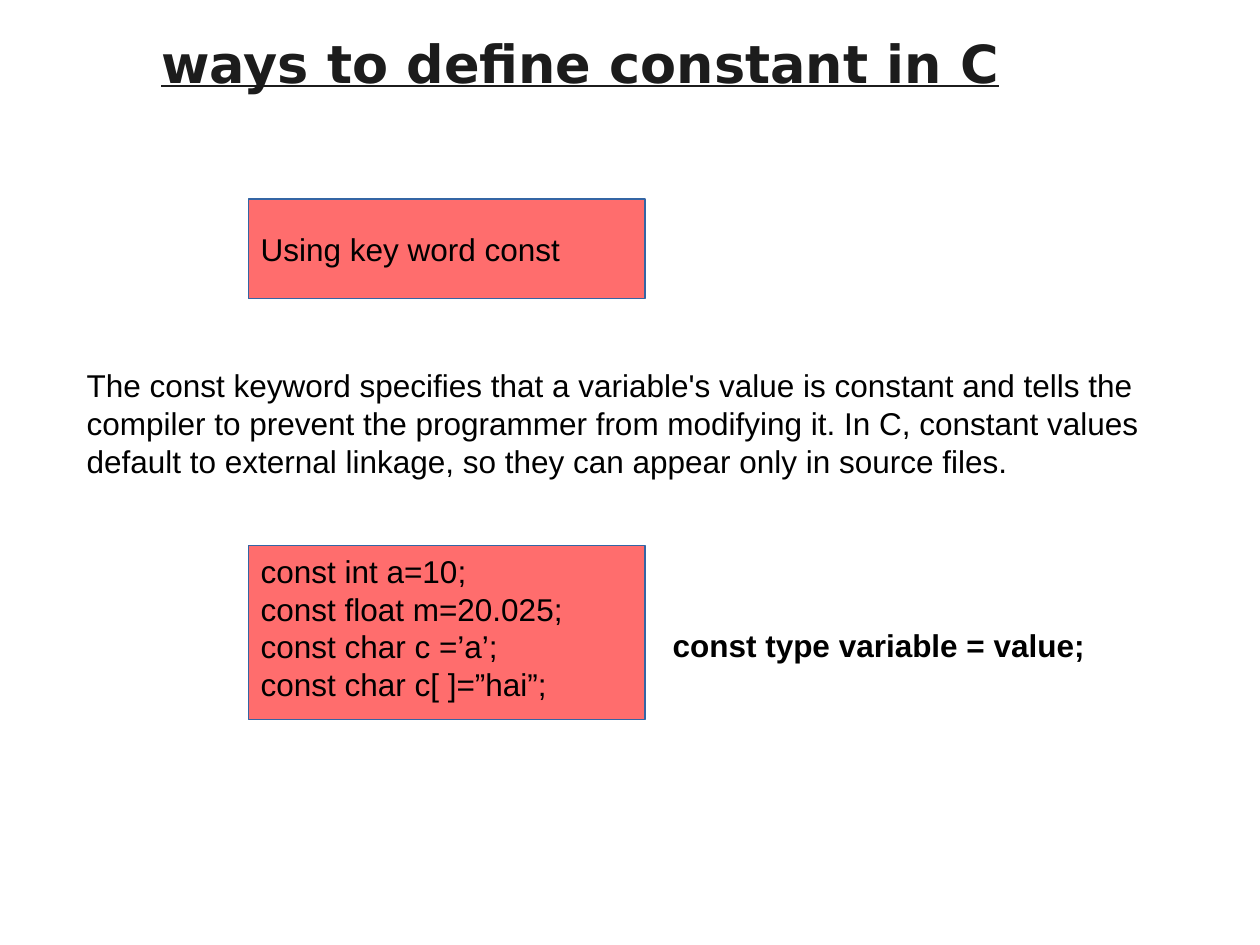
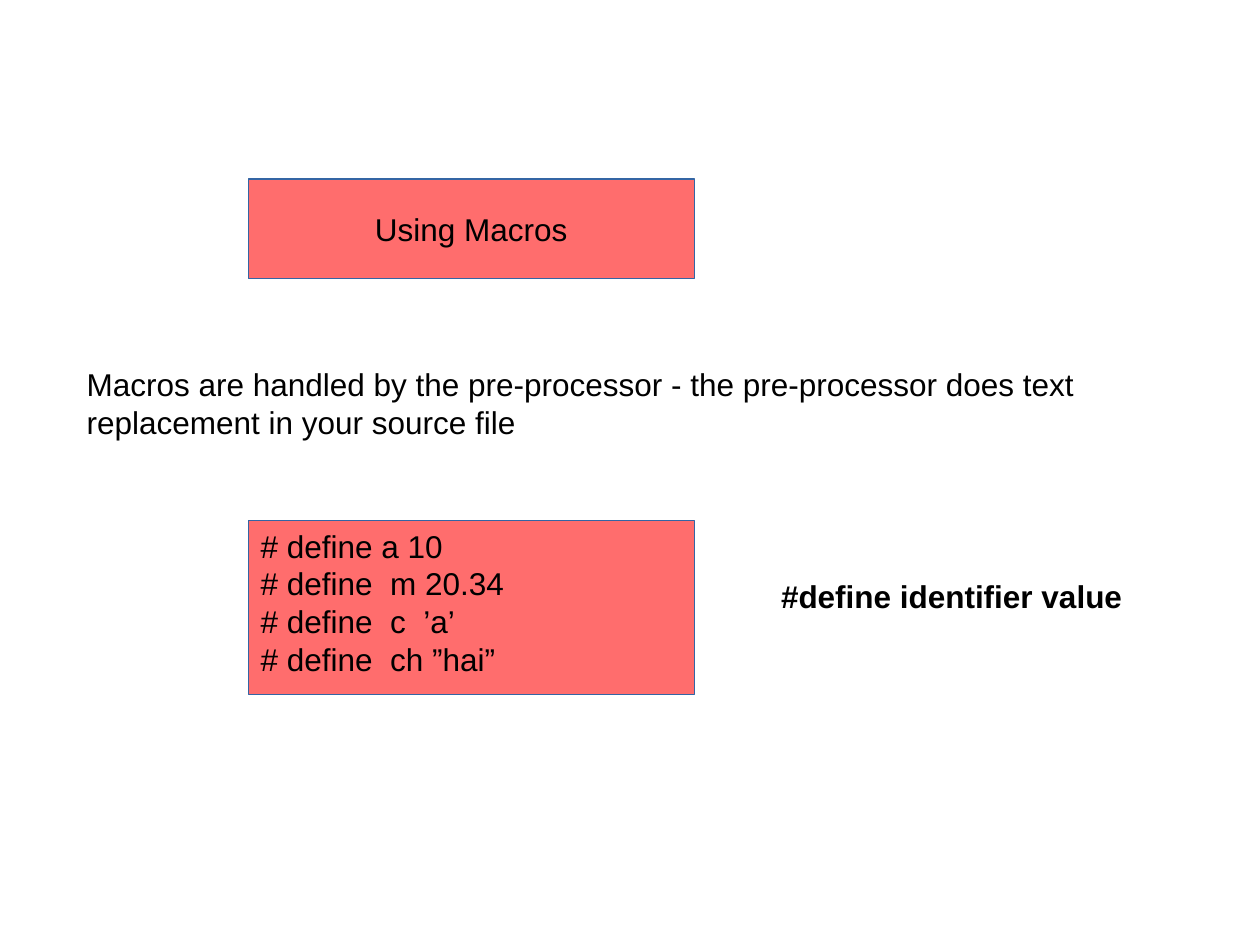
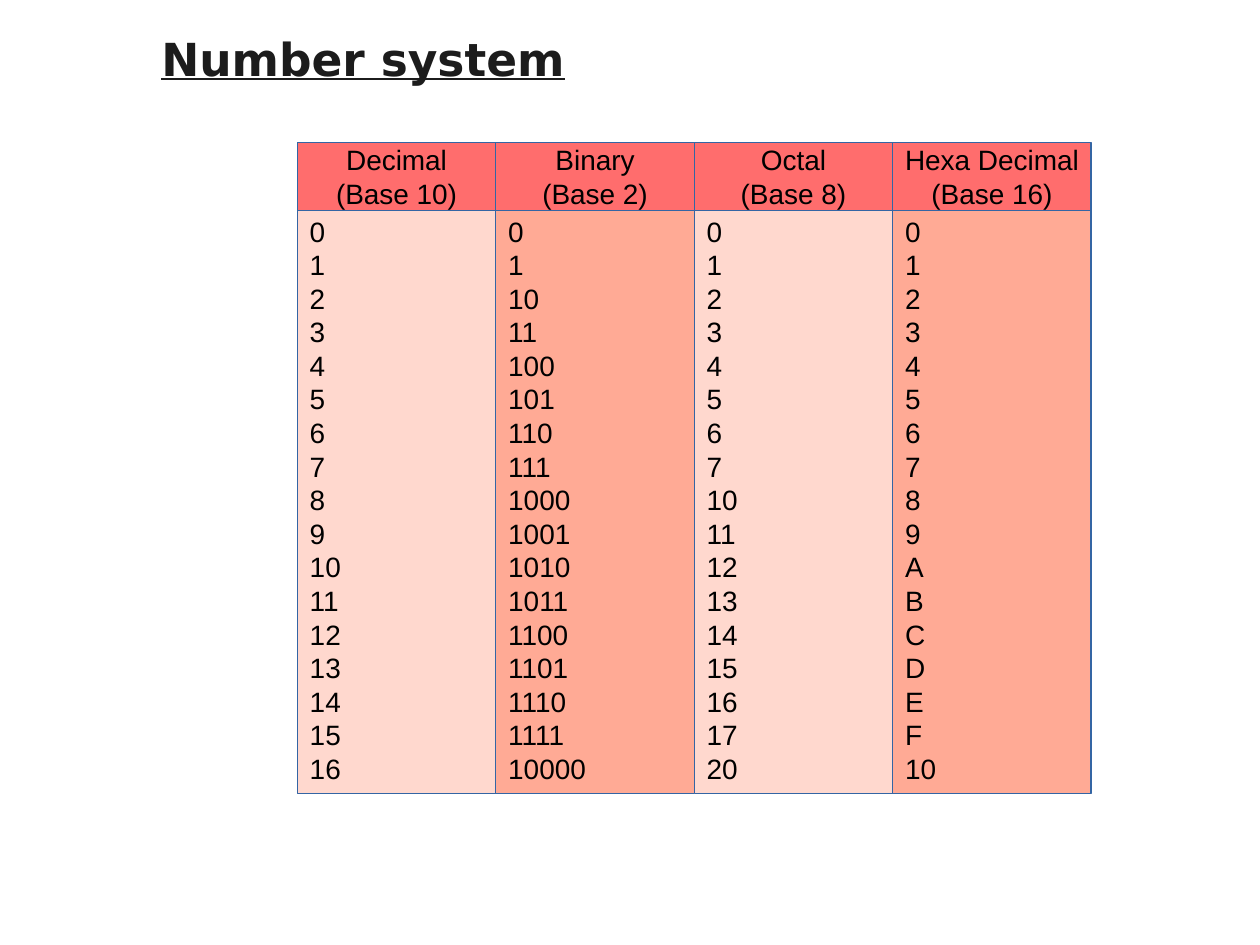
from dataclasses import dataclass

from pptx import Presentation
from pptx.dml.color import RGBColor
from pptx.enum.shapes import MSO_SHAPE
from pptx.enum.text import MSO_ANCHOR, MSO_AUTO_SIZE, PP_ALIGN
from pptx.util import Inches, Pt

RECTANGLE = MSO_SHAPE.RECTANGLE
TOP, MIDDLE = MSO_ANCHOR.TOP, MSO_ANCHOR.MIDDLE
LEFT, CENTER = PP_ALIGN.LEFT, PP_ALIGN.CENTER
NO_AUTOFIT = MSO_AUTO_SIZE.NONE
TITLE_ONLY, BLANK = 5, 6


@dataclass(frozen=True)
class Theme:
    title_font: str = "DejaVu Sans"
    body_font: str = "Arial"
    title_color: RGBColor = RGBColor.from_string("1C1C1C")
    text_color: RGBColor = RGBColor.from_string("000000")
    outline: RGBColor = RGBColor.from_string("3465A4")
    box_fill: RGBColor = RGBColor.from_string("FF6D6D")
    column_fills: tuple = (RGBColor.from_string("FFD8CE"),
                           RGBColor.from_string("FFAA95"))
    title_size: int = 30
    small_title_size: int = 26
    body_size: int = 18
    table_size: int = 16


THEME = Theme()
BOX_LEFT = 1.97
TEXT_LEFT = 0.59
HEADING_HEIGHT = 0.79
CODE_HEIGHT = 1.38


def write_lines(shape, lines, size, font=THEME.body_font, color=THEME.text_color,
                bold=False, underline=False, align=LEFT, anchor=TOP, wrap=True):
    """Write each line as its own paragraph."""
    frame = shape.text_frame
    frame.auto_size = NO_AUTOFIT
    frame.word_wrap = wrap
    frame.vertical_anchor = anchor
    for index, line in enumerate(lines):
        paragraph = frame.add_paragraph() if index else frame.paragraphs[0]
        paragraph.alignment = align
        run = paragraph.add_run()
        run.text = line
        run.font.name = font
        run.font.size = Pt(size)
        run.font.color.rgb = color
        run.font.bold = bold
        run.font.underline = underline


def set_title(slide, text, width, height, size):
    title = slide.shapes.title
    title.left, title.top = Inches(1.18), Inches(0.2)
    title.width, title.height = Inches(width), Inches(height)
    write_lines(title, [text], size, THEME.title_font, THEME.title_color,
                bold=True, underline=True)


def add_text(slide, text, left, top, width, height, bold=False):
    box = slide.shapes.add_textbox(Inches(left), Inches(top),
                                   Inches(width), Inches(height))
    write_lines(box, [text], THEME.body_size, bold=bold)


def add_box(slide, lines, left, top, width, height, fill=THEME.box_fill,
            size=THEME.body_size, align=LEFT, anchor=TOP):
    box = slide.shapes.add_shape(RECTANGLE, Inches(left), Inches(top),
                                 Inches(width), Inches(height))
    box.shadow.inherit = False
    box.fill.solid()
    box.fill.fore_color.rgb = fill
    box.line.color.rgb = THEME.outline
    box.line.width = Pt(0)
    write_lines(box, lines, size, align=align, anchor=anchor, wrap=align != CENTER)


def build_const_slide(presentation):
    slide = presentation.slides.add_slide(presentation.slide_layouts[TITLE_ONLY])
    set_title(slide, "ways to define constant in C", 8.27, 1.1, THEME.title_size)
    width = 3.15
    add_box(slide, ["Using key word const"], BOX_LEFT, 1.58, width,
            HEADING_HEIGHT, anchor=MIDDLE)
    add_box(slide, ["const int a=10;", "const float m=20.025;",
                    "const char c =’a’;", "const char c[ ]=”hai”;"],
            BOX_LEFT, 4.33, width, CODE_HEIGHT)
    add_text(slide, "The const keyword specifies that a variable's value is constant "
             "and tells the compiler to prevent the programmer from modifying it. "
             "In C, constant values default to external linkage, so they can appear "
             "only in source files.", TEXT_LEFT, 2.86, 9.06, 1)
    add_text(slide, "const type variable = value;", 5.24, 4.92, 3.62, 0.4, bold=True)


def build_macro_slide(presentation):
    slide = presentation.slides.add_slide(presentation.slide_layouts[BLANK])
    width = 3.54
    add_box(slide, ["# define a 10", "# define  m 20.34",
                    "# define  c  ’a’", "# define  ch ”hai”"],
            BOX_LEFT, 4.13, width, CODE_HEIGHT)
    add_box(slide, ["Using Macros"], BOX_LEFT, 1.42, width, HEADING_HEIGHT,
            align=CENTER, anchor=MIDDLE)
    add_text(slide, "Macros are handled by the pre-processor - the pre-processor does "
             "text replacement in your source file", TEXT_LEFT, 2.85, 8.46, 0.7)
    add_text(slide, "#define identifier value", 6.1, 4.53, 3.08, 0.4, bold=True)


def build_number_slide(presentation):
    slide = presentation.slides.add_slide(presentation.slide_layouts[TITLE_ONLY])
    set_title(slide, "Number system", 3.74, 0.76, THEME.small_title_size)
    first_left, column_width = 2.36, 1.575
    systems = [("Decimal", 10, "d"), ("Binary", 2, "b"),
               ("Octal", 8, "o"), ("Hexa Decimal", 16, "X")]
    for index, (name, base, digits) in enumerate(systems):
        left = first_left + index * column_width
        add_box(slide, [format(number, digits) for number in range(17)],
                left, 1.65, column_width, 4.65,
                fill=THEME.column_fills[index % 2], size=THEME.table_size)
        add_box(slide, [name, f"(Base {base})"], left, 1.13, column_width, 0.54,
                size=THEME.table_size, align=CENTER, anchor=MIDDLE)


def main():
    presentation = Presentation()
    presentation.slide_width = Inches(10)
    presentation.slide_height = Inches(7.5)
    build_const_slide(presentation)
    build_macro_slide(presentation)
    build_number_slide(presentation)
    presentation.save("out.pptx")


if __name__ == "__main__":
    main()
